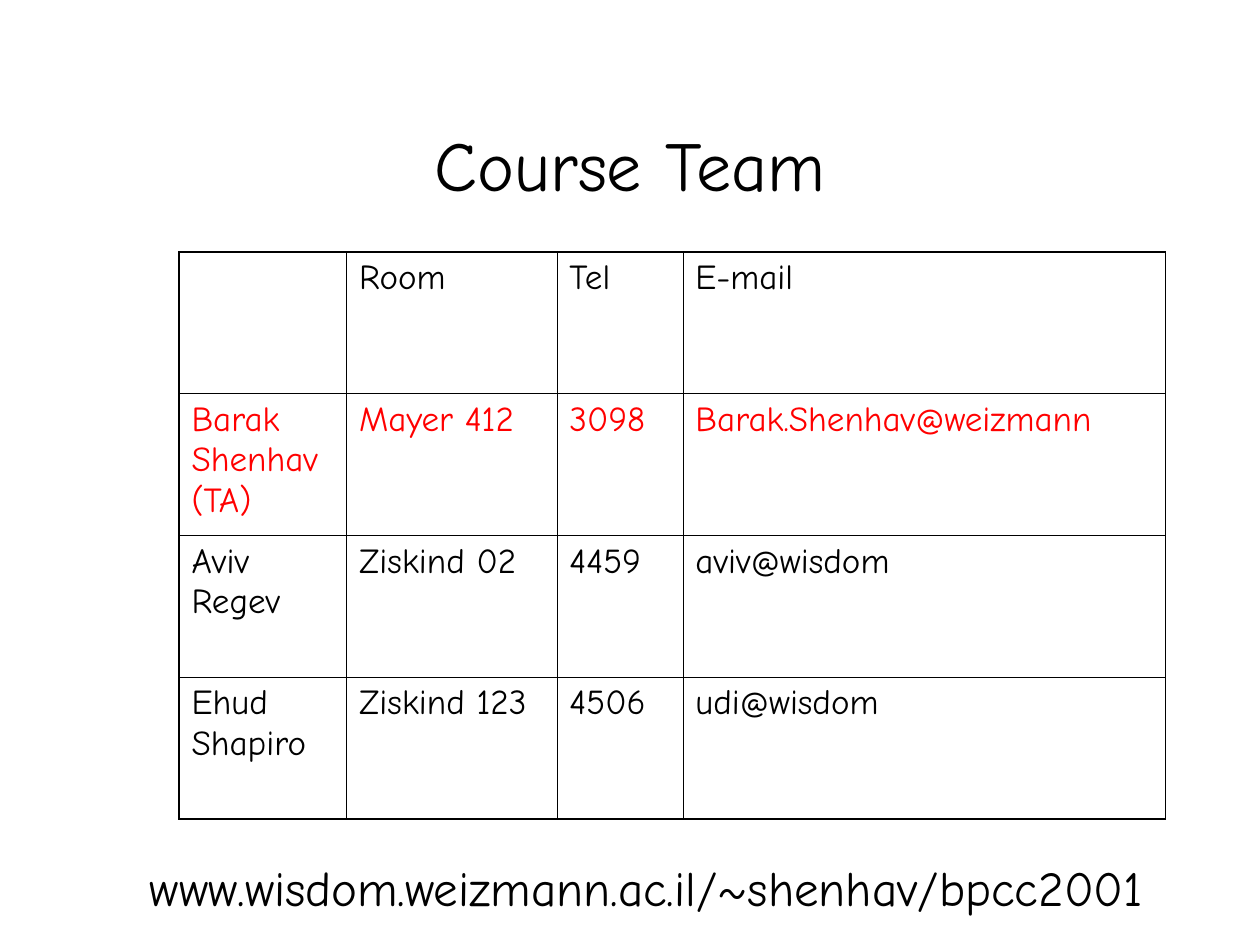
from dataclasses import dataclass

import pptx
import pptx.dml.color
import pptx.enum.text
import pptx.oxml
import pptx.oxml.ns
import pptx.util
from pptx.util import Inches


@dataclass(frozen=True)
class Theme:
    font: str = "Comic Neue"
    text: str = "000000"
    highlight: str = "FF0000"
    border: str = "000000"
    title_size: float = 40
    table_size: float = 20
    address_size: float = 28
    outer_line: float = 1.08
    inner_line: float = 0.45


THEME = Theme()
COLUMN_WIDTHS = [1.33, 1.67, 1, 3.83]
TEAM = [
    ["", "Room", "Tel", "E-mail"],
    ["Barak Shenhav (TA)", "Mayer 412", "3098", "Barak.Shenhav@weizmann"],
    ["Aviv Regev", "Ziskind 02", "4459", "aviv@wisdom"],
    ["Ehud Shapiro", "Ziskind 123", "4506", "udi@wisdom"],
]
ASSISTANT_ROW = 1


def format_text(text_frame, size, color, alignment):
    for para in text_frame.paragraphs:
        para.alignment = alignment
        para.font.size = pptx.util.Pt(size)
        for span in para.runs:
            span.font.name = THEME.font
            span.font.size = pptx.util.Pt(size)
            span.font.color.rgb = pptx.dml.color.RGBColor.from_string(color)


def set_borders(cell, widths):
    """Draw the cell's sides; widths maps L, R, T, B (in that order) to points."""
    properties = cell._tc.get_or_add_tcPr()
    for index, (side, width) in enumerate(widths.items()):
        line = pptx.oxml.parse_xml(
            f'<a:ln{side} {pptx.oxml.ns.nsdecls("a")} w="{pptx.util.Pt(width)}">'
            f'<a:solidFill><a:srgbClr val="{THEME.border}"/></a:solidFill>'
            f'<a:prstDash val="solid"/></a:ln{side}>'
        )
        properties.insert(index, line)


def add_title(page, left, top, width, height):
    title = page.shapes.title
    title.left, title.top, title.width, title.height = left, top, width, height
    title.text_frame.text = "Course Team"
    title.text_frame.vertical_anchor = pptx.enum.text.MSO_ANCHOR.MIDDLE
    format_text(title.text_frame, THEME.title_size, THEME.text,
                pptx.enum.text.PP_ALIGN.CENTER)


def add_team_table(page, left, top, width, height):
    last_row, last_column = len(TEAM) - 1, len(COLUMN_WIDTHS) - 1
    table = page.shapes.add_table(
        len(TEAM), len(COLUMN_WIDTHS), left, top, width, height).table
    table.first_row = table.horz_banding = False
    for column, share in zip(table.columns, COLUMN_WIDTHS):
        column.width = int(width * share / sum(COLUMN_WIDTHS))

    for row, values in enumerate(TEAM):
        color = THEME.highlight if row == ASSISTANT_ROW else THEME.text
        for column, value in enumerate(values):
            cell = table.cell(row, column)
            cell.text_frame.text = value
            format_text(cell.text_frame, THEME.table_size, color,
                        pptx.enum.text.PP_ALIGN.LEFT)
            cell.fill.background()
            on_edge = {"L": column == 0, "R": column == last_column,
                       "T": row == 0, "B": row == last_row}
            set_borders(cell, {
                side: THEME.outer_line if outer else THEME.inner_line
                for side, outer in on_edge.items()})


def add_web_address(page, left, top, width, height):
    box = page.shapes.add_textbox(left, top, width, height)
    box.text_frame.text = "www.wisdom.weizmann.ac.il/~shenhav/bpcc2001"
    box.text_frame.word_wrap = False
    box.text_frame.vertical_anchor = pptx.enum.text.MSO_ANCHOR.MIDDLE
    format_text(box.text_frame, THEME.address_size, THEME.text,
                pptx.enum.text.PP_ALIGN.CENTER)


def main():
    deck = pptx.Presentation()
    deck.slide_width, deck.slide_height = Inches(10), Inches(7.5)
    page = deck.slides.add_slide(deck.slide_layouts.get_by_name("Title Only"))
    add_title(page, Inches(0.75), Inches(0.67), Inches(8.5), Inches(1.25))
    add_team_table(page, Inches(1.42), Inches(2), Inches(7.83), Inches(4.5))
    add_web_address(page, Inches(0.42), Inches(6.83), Inches(9.42), Inches(0.42))
    deck.save("out.pptx")


if __name__ == "__main__":
    main()
